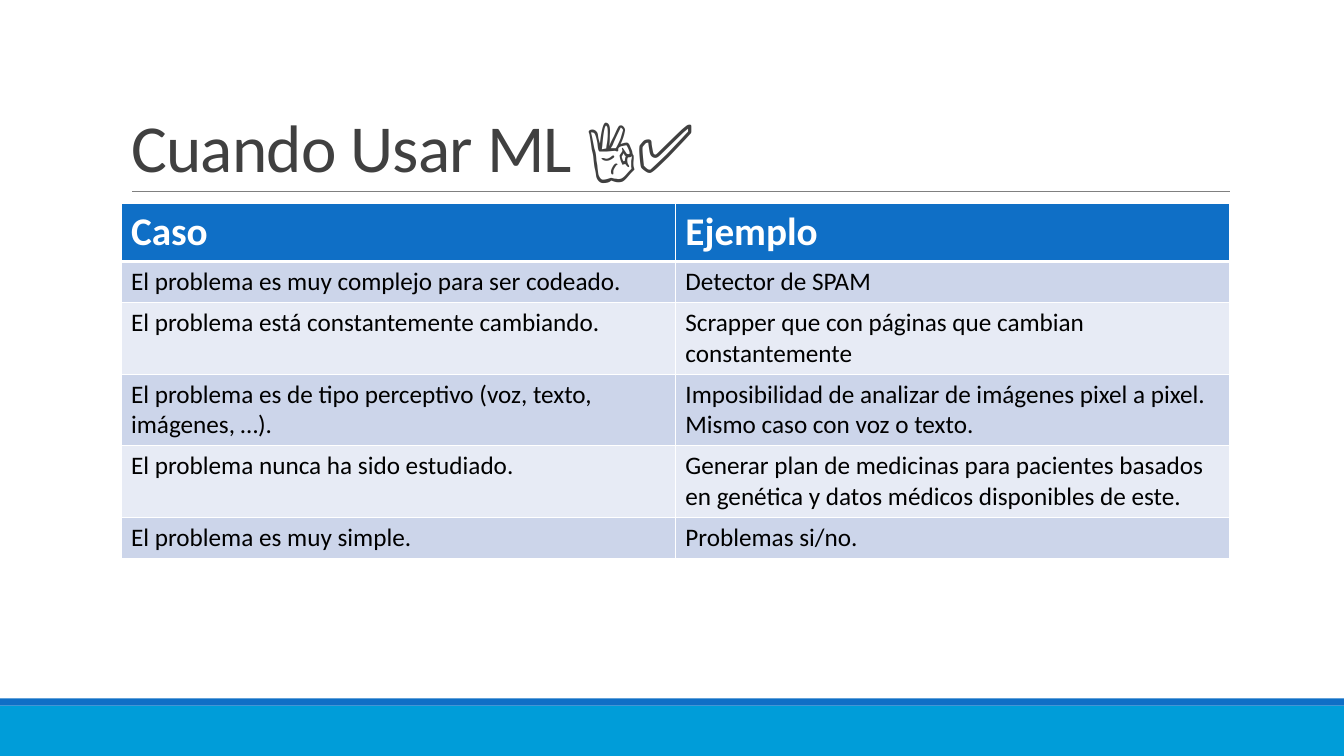
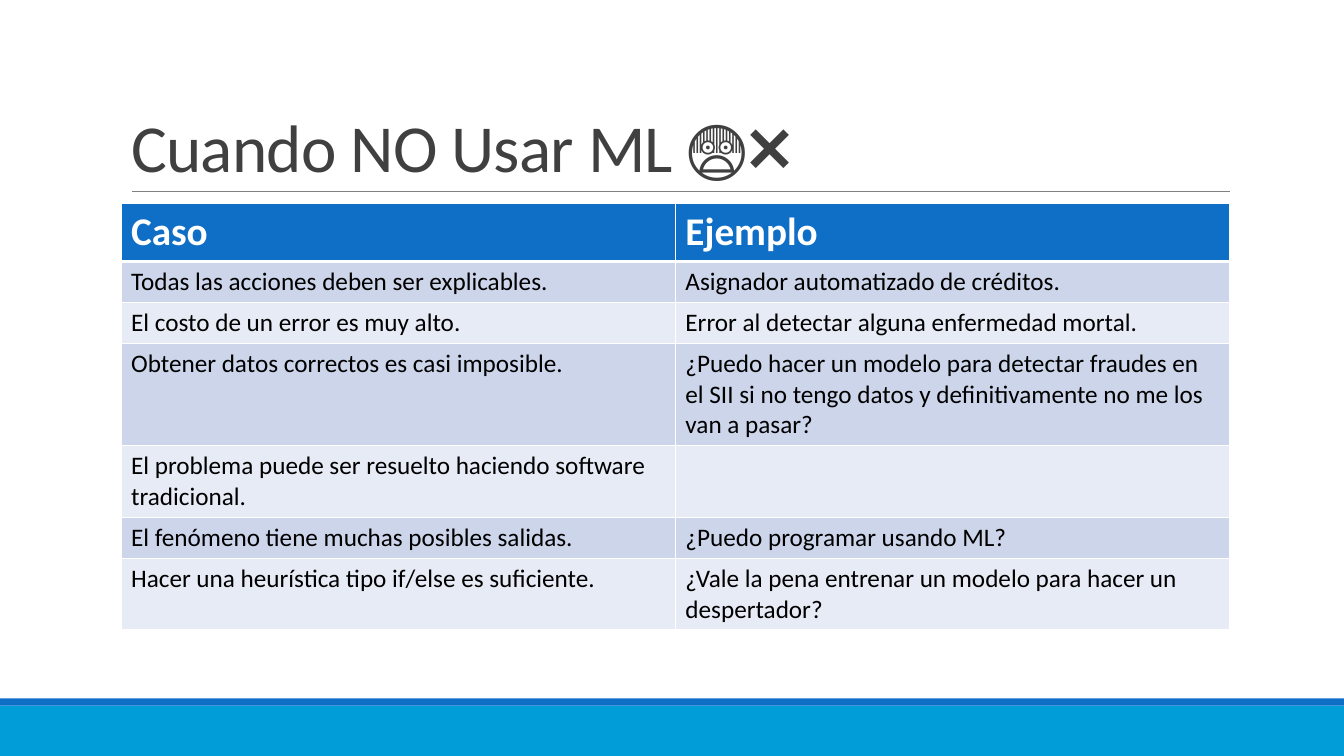
from collections import namedtuple

from pptx import Presentation
from pptx import util as u
from pptx.dml.color import RGBColor
from pptx.enum import shapes, text
from pptx.oxml import ns, xmlchemy

Box = namedtuple("Box", "left top width height")

FONT = "Calibri"
BLUE, CYAN, WHITE, BLACK = "0F6FC6", "009DD9", "FFFFFF", "000000"
TITLE_GRAY, RULE_GRAY = "404040", "808080"
ROW_FILLS = ["E7EBF5", "CCD5EA"]

PAGE = Box(0, 0, 33.87, 19.05)
TITLE = Box(3.05, 0.79, 27.94, 4.04)
TABLE = Box(3.05, 5.13, 27.94, 0)
FOOTER = Box(0, 17.6, PAGE.width, 1.45)
STRIPE_HEIGHT = 0.18
RULE_INSET = 0.28
ROW_HEIGHT = 1.03

HEADINGS = ("Caso", "Ejemplo")
SLIDES = [
    ("Cuando Usar ML 👌✅", [
        ("El problema es muy complejo para ser codeado.", "Detector de SPAM"),
        ("El problema está constantemente cambiando.",
         "Scrapper que con páginas que cambian constantemente"),
        ("El problema es de tipo perceptivo (voz, texto, imágenes, …).",
         "Imposibilidad de analizar de imágenes pixel a pixel. Mismo caso con voz o texto."),
        ("El problema nunca ha sido estudiado.",
         "Generar plan de medicinas para pacientes basados en genética y datos médicos "
         "disponibles de este."),
        ("El problema es muy simple.", "Problemas si/no."),
    ]),
    ("Cuando NO Usar ML 😨❌", [
        ("Todas las acciones deben ser explicables.", "Asignador automatizado de créditos."),
        ("El costo de un error es muy alto.", "Error al detectar alguna enfermedad mortal."),
        ("Obtener datos correctos es casi imposible.",
         "¿Puedo hacer un modelo para detectar fraudes en el SII si no tengo datos y "
         "definitivamente no me los van a pasar?"),
        ("El problema puede ser resuelto haciendo software tradicional.", ""),
        ("El fenómeno tiene muchas posibles salidas.", "¿Puedo programar usando ML?"),
        ("Hacer una heurística tipo if/else es suficiente.",
         "¿Vale la pena entrenar un modelo para hacer un despertador?"),
    ]),
]


def color(value):
    return RGBColor.from_string(value)


def paint(target, value):
    target.fill.solid()
    target.fill.fore_color.rgb = color(value)


def place(shape, box):
    shape.left, shape.top, shape.width, shape.height = map(u.Cm, box)


def write(frame, words, size, fill, bold=False, line_spacing=None, tracking=None):
    paragraph = frame.paragraphs[0]
    paragraph.alignment = text.PP_ALIGN.LEFT
    paragraph.line_spacing = line_spacing
    if not words:
        return
    run = paragraph.add_run()
    run.text = words
    run.font.name = FONT
    run.font.size = u.Pt(size)
    run.font.bold = bold
    run.font.color.rgb = color(fill)
    if tracking is not None:
        run.font._element.set("spc", str(int(tracking * 100)))


def add_band(slide, box, fill):
    band = slide.shapes.add_shape(shapes.MSO_SHAPE.RECTANGLE, *map(u.Cm, box))
    band.shadow.inherit = False
    band.line.fill.background()
    paint(band, fill)
    return band


def add_footer(slide, box):
    stripe = box._replace(height=STRIPE_HEIGHT)
    base = box._replace(top=box.top + STRIPE_HEIGHT, height=box.height - STRIPE_HEIGHT)
    return [add_band(slide, base, CYAN), add_band(slide, stripe, BLUE)]


def add_rule(slide, box):
    bottom = u.Cm(box.top + box.height)
    rule = slide.shapes.add_connector(
        shapes.MSO_CONNECTOR.STRAIGHT, u.Cm(box.left + RULE_INSET), bottom,
        u.Cm(box.left + box.width), bottom)
    rule.line.color.rgb = color(RULE_GRAY)
    rule.line.width = u.Pt(0.5)
    rule._element.spPr.append(xmlchemy.OxmlElement("a:effectLst"))
    return rule


def decorate_layout(layout, slide):
    for number, shape in enumerate([*add_footer(slide, FOOTER), add_rule(slide, TITLE)], 100):
        next(shape.element.iter(ns.qn("p:cNvPr"))).set("id", str(number))
        layout.shapes.element.append(shape.element)


def add_title(slide, box, words):
    title = slide.shapes.title
    place(title, box)
    frame = title.text_frame
    frame.word_wrap = True
    frame.auto_size = text.MSO_AUTO_SIZE.NONE
    frame.vertical_anchor = text.MSO_ANCHOR.BOTTOM
    write(frame, words, size=48, fill=TITLE_GRAY, line_spacing=0.85, tracking=-0.5)


def set_borders(cell, widths):
    properties = cell._tc.get_or_add_tcPr()
    for side, width in widths.items():
        line = xmlchemy.OxmlElement(f"a:ln{side}")
        line.set("w", str(u.Pt(width)))
        fill = xmlchemy.OxmlElement("a:solidFill")
        value = xmlchemy.OxmlElement("a:srgbClr")
        value.set("val", WHITE)
        fill.append(value)
        line.append(fill)
        properties.append(line)


def add_case_table(slide, box, cases):
    rows = [HEADINGS, *cases]
    height = ROW_HEIGHT * len(rows)
    frame = slide.shapes.add_table(
        len(rows), len(HEADINGS), *map(u.Cm, box._replace(height=height)))
    table = frame.table
    for row_index, row in enumerate(rows):
        table.rows[row_index].height = u.Cm(ROW_HEIGHT)
        heading = row_index == 0
        borders = {"L": 1, "R": 1, "T": 3 if row_index == 1 else 1, "B": 3 if heading else 1}
        for column_index, words in enumerate(row):
            cell = table.cell(row_index, column_index)
            set_borders(cell, borders)
            paint(cell, BLUE if heading else ROW_FILLS[row_index % 2])
            write(cell.text_frame, words, size=28 if heading else 18,
                  fill=WHITE if heading else BLACK, bold=heading)


def add_case_slide(presentation, layout, title, cases):
    slide = presentation.slides.add_slide(layout)
    add_title(slide, TITLE, title)
    add_case_table(slide, TABLE, cases)
    return slide


def main():
    presentation = Presentation()
    presentation.slide_width, presentation.slide_height = u.Cm(PAGE.width), u.Cm(PAGE.height)
    layout = presentation.slide_layouts.get_by_name("Title Only")
    slides = [add_case_slide(presentation, layout, *content) for content in SLIDES]
    decorate_layout(layout, slides[0])
    presentation.save("out.pptx")


if __name__ == "__main__":
    main()
